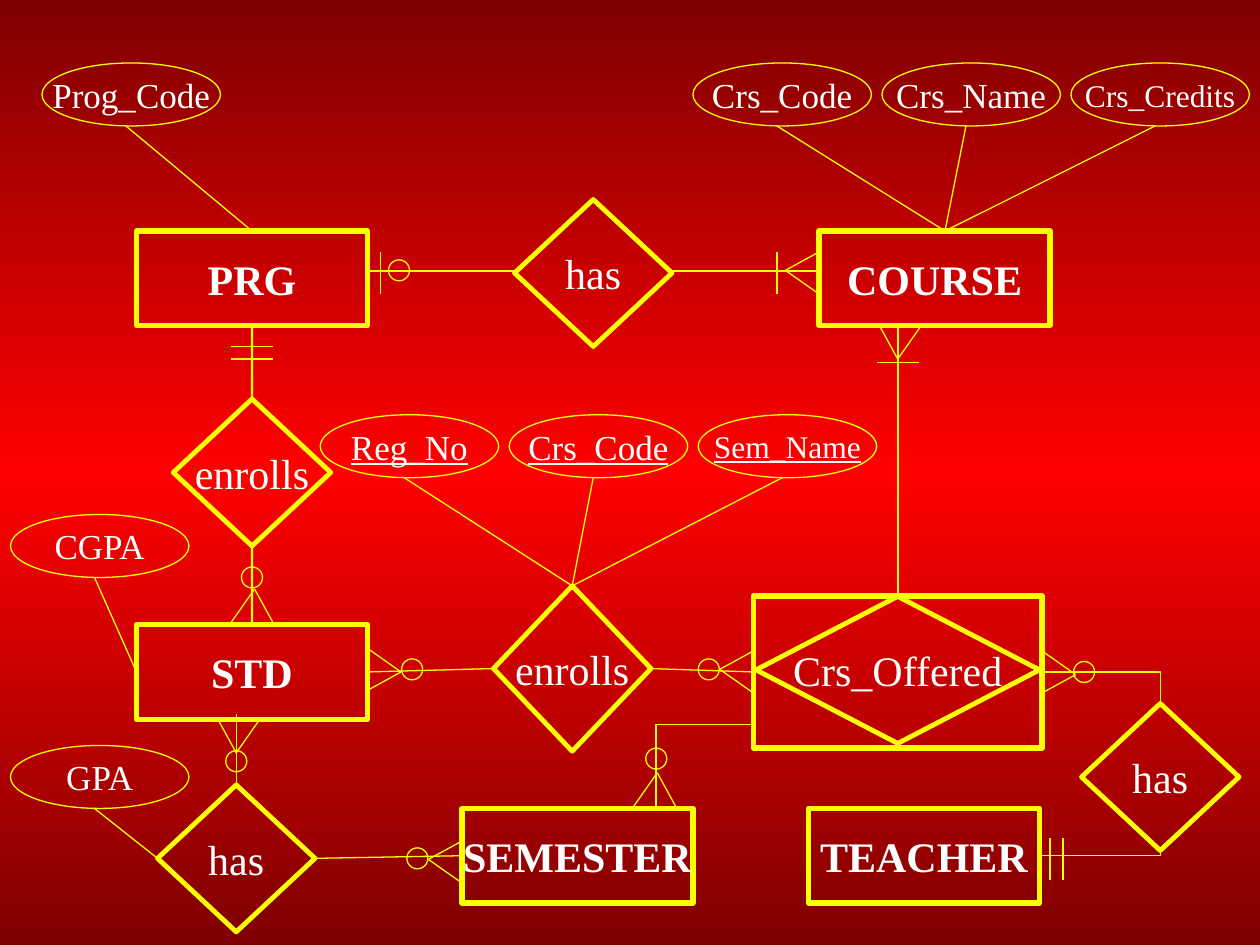
from copy import deepcopy
from dataclasses import dataclass

from lxml.etree import SubElement
from pptx import Presentation
from pptx.dml.color import RGBColor as RGB
from pptx.enum.shapes import MSO_CONNECTOR as CONN, MSO_SHAPE as SHAPE
from pptx.enum.text import MSO_ANCHOR as ANCHOR, PP_ALIGN as ALIGN
from pptx.oxml.ns import qn
from pptx.util import Inches, Pt

COLS, ROWS = 120, 90
TOP, LEFT, BOTTOM, RIGHT = range(4)


@dataclass(frozen=True)
class Theme:
    """Colours, type sizes and line weights of the diagram."""
    dark: RGB = RGB(0x7F, 0, 0)
    bright: RGB = RGB(0xFF, 0, 0)
    line: RGB = RGB(0xFF, 0xFF, 0)
    text: RGB = RGB(0xFF, 0xFF, 0xFF)
    font: str = "Times New Roman"
    large: int = 24
    medium: int = 20
    small: int = 18
    thin: float = 0.75
    medium_line: float = 1.25
    diamond_line: float = 2.75
    entity_line: float = 3


T = Theme()


def grid(*values):
    """Convert grid units, twelve to the inch, to lengths."""
    return [Inches(v / 12) for v in values]


def paint_background(slide):
    """Fill the slide with a dark, bright, dark vertical gradient."""
    fill = slide.background.fill
    fill.gradient()
    fill.gradient_angle = 90
    stops = slide.element.find(".//" + qn("a:gsLst"))
    stops.append(deepcopy(stops[0]))
    for i, (stop, color) in enumerate(zip(fill.gradient_stops, (T.dark, T.bright, T.dark))):
        stop.position = i / 2
        stop.color.rgb = color


def put_text(sp, text, size=T.large, bold=False, underline=False):
    """Write one centred, unwrapped line inside a shape."""
    tf = sp.text_frame
    tf.word_wrap = False
    tf.vertical_anchor = ANCHOR.MIDDLE
    p = tf.paragraphs[0]
    p.alignment = ALIGN.CENTER
    r = p.add_run()
    r.text = text
    font = r.font
    font.name, font.size, font.color.rgb = T.font, Pt(size), T.text
    font.bold, font.underline = bold, underline


def add_outline(slide, kind, x, y, w, h, weight=T.thin):
    """Add an unfilled preset shape."""
    sp = slide.shapes.add_shape(kind, *grid(x, y, w, h))
    sp.shadow.inherit = False
    sp.fill.background()
    sp.line.color.rgb, sp.line.width = T.line, Pt(weight)
    return sp


def add_entity(slide, text, x, y):
    """Add an entity rectangle with a bold name."""
    sp = add_outline(slide, SHAPE.RECTANGLE, x, y, 22, 9, T.entity_line)
    put_text(sp, text, bold=True)
    return sp


def add_relation(slide, text, x, y, w=15, h=14):
    """Add a relationship diamond."""
    sp = add_outline(slide, SHAPE.DIAMOND, x, y, w, h, T.diamond_line)
    put_text(sp, text)
    return sp


def add_attribute(slide, text, x, y, end, join=None, size=T.medium, key=False):
    """Add an attribute ellipse and the line to its owner."""
    sp = add_outline(slide, SHAPE.OVAL, x, y, 17, 6)
    put_text(sp, text, size=size, underline=key)
    add_link(slide, (x + 8, y + 6), end, end_join=join)


def add_link(slide, start, end, weight=T.thin, begin_join=None, end_join=None, bent=False):
    """Add a straight or one-corner connector, joined where asked."""
    kind = CONN.ELBOW if bent else CONN.STRAIGHT
    cx = slide.shapes.add_connector(kind, *grid(*start, *end))
    if begin_join:
        cx.begin_connect(*begin_join)
    if end_join:
        cx.end_connect(*end_join)
    cx.line.color.rgb, cx.line.width = T.line, Pt(weight)
    sp_pr = cx.element.spPr
    if bent:
        sp_pr.find(qn("a:prstGeom")).set("prst", "bentConnector2")
    SubElement(sp_pr, qn("a:effectLst"))


def add_crow_foot(slide, x, y, dx, dy):
    """Add a 'many' mark at an edge, pointing along (dx, dy)."""
    apex = (x + 3.2 * dx - 0.25 * dy, y + 3.2 * dy + 0.25 * dx)
    for side in (-2, 2):
        add_link(slide, (x + side * dy, y + side * dx), apex)


def add_bar(slide, x, y, dx, dy):
    """Add a 'one' mark centred on a link."""
    add_link(slide, (x - 2 * dx, y - 2 * dy), (x + 2 * dx, y + 2 * dy))


def add_ring(slide, x, y):
    """Add an 'optional' mark centred on a link."""
    add_outline(slide, SHAPE.OVAL, x - 1, y - 1, 2, 2)


def add_attributes(slide, prg, std, std_has, std_enrolls):
    """Add all attributes around their owners."""
    add_attribute(slide, "Prog_Code", 4, 6, (24, 22), (prg, TOP))
    add_attribute(slide, "CGPA", 1, 49, (13, 64), (std, LEFT))
    add_attribute(slide, "GPA", 1, 71, (15, 82), (std_has, LEFT))
    course = ("Crs_Code", "Crs_Name", "Crs_Credits")
    keys = ("Reg_No", "Crs_Code", "Sem_Name")
    for i, size in enumerate((T.medium, T.medium, T.small)):
        add_attribute(slide, course[i], 66 + 18 * i, 6, (90, 22), size=size)
        add_attribute(slide, keys[i], 30.5 + 18 * i, 39.5, (54.5, 55.8),
                      (std_enrolls, TOP), size=size, key=True)


def add_marks(slide):
    """Add the cardinality marks on all links."""
    for foot in ((78, 26, -1, 0), (24, 59.3, 0, -1), (35, 63.75, 1, 0),
                 (22.75, 68.5, 0, 1), (44, 82.1, -1, 0), (71.75, 64, -1, 0),
                 (99.25, 64, 1, 0), (62.35, 76.8, 0, -1), (85.75, 31, 0, 1)):
        add_crow_foot(slide, *foot)
    for x, y in ((36.25, 26), (74, 26), (100, 81.8), (101.25, 81.8)):
        add_bar(slide, x, y, 0, 1)
    for x, y in ((24, 33), (24, 34.2), (85.5, 34.5)):
        add_bar(slide, x, y, 1, 0)
    for center in ((38, 25.75), (24, 55), (39.25, 63.75), (67.5, 63.75),
                   (62.5, 72.25), (103.25, 64), (39.75, 81.75), (22.5, 72.5)):
        add_ring(slide, *center)


def main():
    """Build the entity-relationship slide."""
    prs = Presentation()
    prs.slide_width, prs.slide_height = grid(COLS, ROWS)
    s = prs.slides.add_slide(prs.slide_layouts[6])
    paint_background(s)

    prg = add_entity(s, "PRG", 13, 22)
    add_entity(s, "COURSE", 78, 22)
    std = add_entity(s, "STD", 13, 59.5)
    semester = add_entity(s, "SEMESTER", 44, 77)
    teacher = add_entity(s, "TEACHER", 77, 77)
    add_relation(s, "has", 49, 19)
    prg_enrolls = add_relation(s, "enrolls", 16.5, 38)
    std_enrolls = add_relation(s, "enrolls", 47, 55.8, h=15.75)
    std_has = add_relation(s, "has", 15, 74.75)
    teacher_has = add_relation(s, "has", 103, 67)
    offered = add_relation(s, "Crs_Offered", 72, 56.8, w=27)
    frame = add_outline(s, SHAPE.RECTANGLE, 71.75, 56.75, 27.5, 14.5, T.entity_line)

    add_link(s, (49, 25.8), (35, 25.8))
    add_link(s, (78, 25.8), (64, 25.8))
    add_link(s, (24, 31), (24, 38), T.medium_line, (prg, BOTTOM), (prg_enrolls, TOP))
    add_link(s, (24, 52), (24, 59.5), T.medium_line, (prg_enrolls, BOTTOM), (std, TOP))
    add_link(s, (85.5, 30.75), (85.5, 56.8), T.medium_line, end_join=(offered, TOP))
    add_link(s, (35, 64), (47, 63.7), begin_join=(std, RIGHT), end_join=(std_enrolls, LEFT))
    add_link(s, (62, 63.7), (71.75, 64), begin_join=(std_enrolls, RIGHT), end_join=(frame, LEFT))
    add_link(s, (22.5, 74.75), (22.5, 68), begin_join=(std_has, TOP))
    add_link(s, (30, 81.75), (44, 81.5), begin_join=(std_has, RIGHT), end_join=(semester, LEFT))
    add_link(s, (99.25, 64), (110.5, 67), begin_join=(frame, RIGHT),
             end_join=(teacher_has, TOP), bent=True)
    add_link(s, (99, 81.5), (110.5, 81), begin_join=(teacher, RIGHT),
             end_join=(teacher_has, BOTTOM), bent=True)
    add_link(s, (71.75, 69), (62.5, 76.8), bent=True)

    add_attributes(s, prg, std, std_has, std_enrolls)
    add_marks(s)
    prs.save("out.pptx")


if __name__ == "__main__":
    main()
